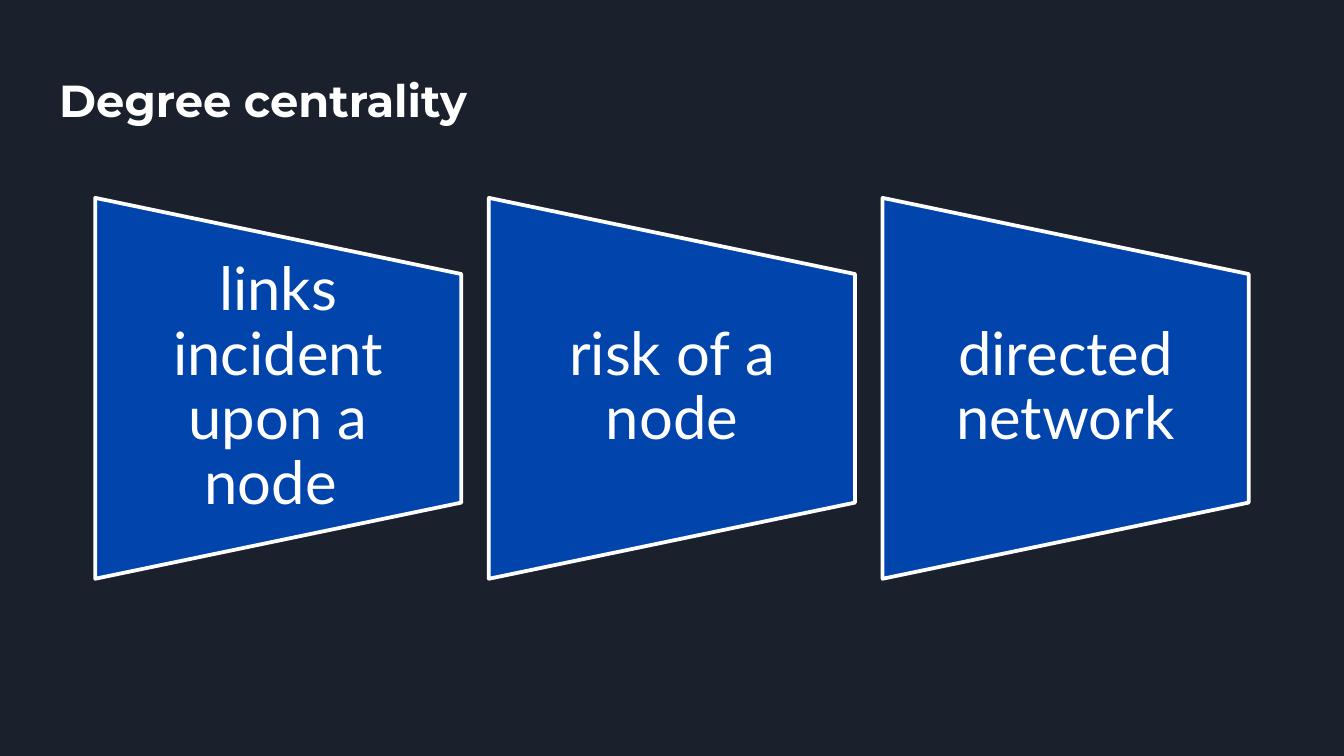
from dataclasses import dataclass

from pptx import Presentation
from pptx.dml.color import RGBColor
from pptx.enum.shapes import MSO_SHAPE
from pptx.enum.text import MSO_ANCHOR, PP_ALIGN
from pptx.util import Cm, Pt


@dataclass(frozen=True)
class Theme:
    background: RGBColor = RGBColor(0x1B, 0x21, 0x2C)
    panel: RGBColor = RGBColor(0x01, 0x45, 0xAC)
    light: RGBColor = RGBColor(0xFF, 0xFF, 0xFF)
    title_font: str = "Montserrat"
    body_font: str = "Lato"
    title_size: int = 24
    body_size: int = 32
    outline: int = 2
    line_spacing: float = 0.9


class SlideBuilder:
    def __init__(self, s, theme):
        self.s = s
        self.theme = theme
        s.background.fill.solid()
        s.background.fill.fore_color.rgb = theme.background

    def text(self, text, left, top, width, height, font, size, bold=False,
             align=PP_ALIGN.LEFT, anchor=MSO_ANCHOR.TOP, inset=(0.25, 0.25)):
        tf = self.s.shapes.add_textbox(Cm(left), Cm(top), Cm(width), Cm(height)).text_frame
        tf.word_wrap = True
        tf.vertical_anchor = anchor
        tf.margin_left = tf.margin_right = Cm(inset[0])
        tf.margin_top = tf.margin_bottom = Cm(inset[1])
        p = tf.paragraphs[0]
        p.text = text
        p.alignment = align
        p.line_spacing = self.theme.line_spacing
        r = p.runs[0]
        r.font.name = font
        r.font.size = Pt(size)
        r.font.bold = bold
        r.font.color.rgb = self.theme.light

    def title(self, text):
        self.text(text, 0.87, 1.24, 23.67, 1.6, self.theme.title_font,
                  self.theme.title_size, bold=True)

    def panel(self, text, center_x, center_y, width, height):
        # The shape is turned a quarter, so its own width is the visible height
        sp = self.s.shapes.add_shape(
            MSO_SHAPE.FLOWCHART_MANUAL_OPERATION,
            Cm(center_x - height / 2), Cm(center_y - width / 2), Cm(height), Cm(width))
        sp.rotation = 270
        sp.shadow.inherit = False
        sp.fill.solid()
        sp.fill.fore_color.rgb = self.theme.panel
        sp.line.color.rgb = self.theme.light
        sp.line.width = Pt(self.theme.outline)
        # The upright label covers the middle three fifths of the panel
        label_height = height * 0.6
        self.text(text, center_x - width / 2, center_y - label_height / 2, width,
                  label_height, self.theme.body_font, self.theme.body_size,
                  align=PP_ALIGN.CENTER, anchor=MSO_ANCHOR.MIDDLE, inset=(0.56, 0))


def main():
    prs = Presentation()
    prs.slide_width, prs.slide_height = Cm(25.4), Cm(14.29)
    slide = SlideBuilder(prs.slides.add_slide(prs.slide_layouts[6]), Theme())

    # Heading
    slide.title("Degree centrality")

    # Row of three equal panels
    first_center, step = 5.26, 7.44
    labels = ("links incident upon a node ", "risk of a node", "directed network")
    for i, label in enumerate(labels):
        slide.panel(label, first_center + i * step, 7.34, 6.92, 7.2)

    prs.save("out.pptx")


if __name__ == "__main__":
    main()
